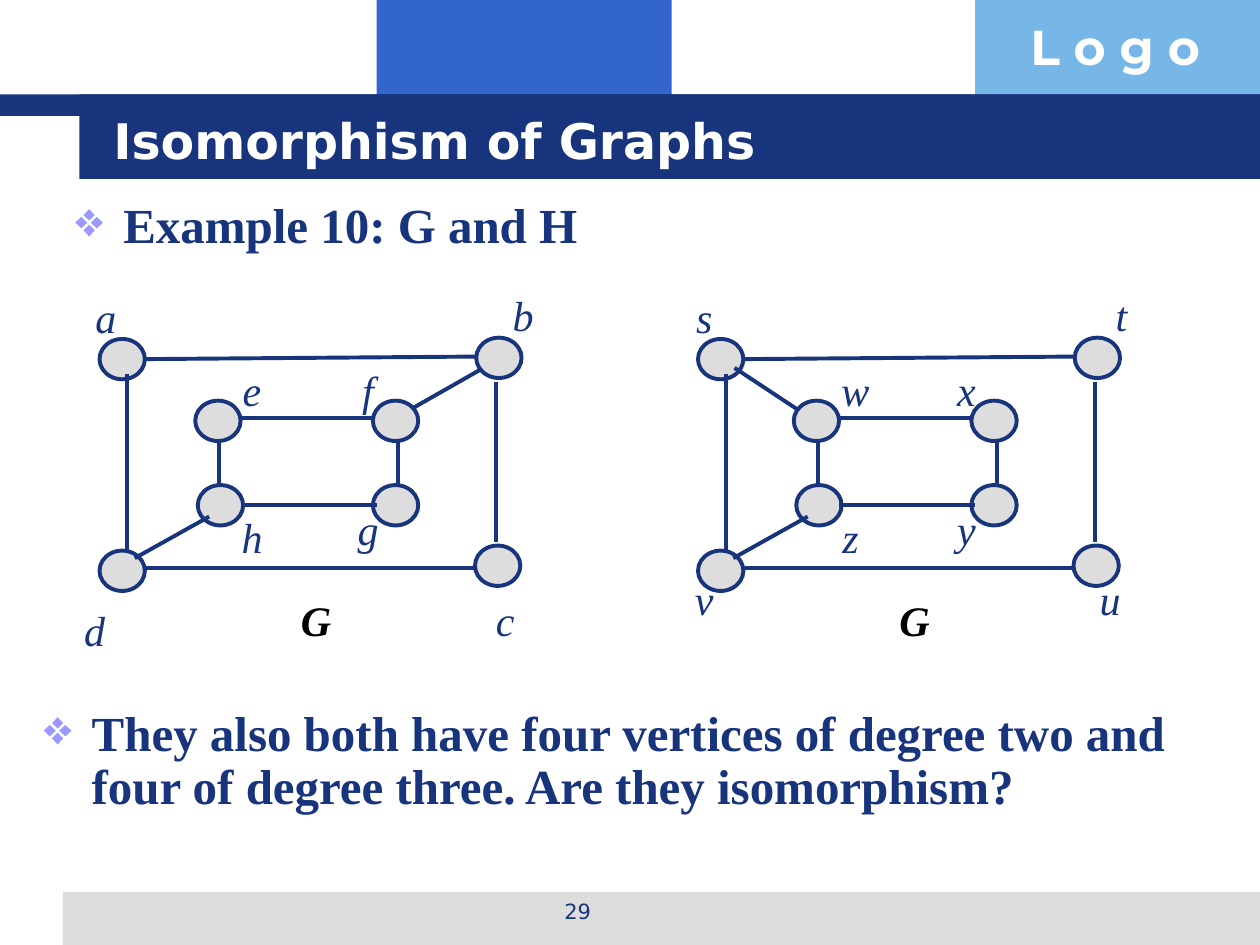
from lxml.etree import SubElement
from pptx import Presentation
from pptx.dml.color import RGBColor
from pptx.enum.shapes import MSO_CONNECTOR, MSO_SHAPE
from pptx.enum.text import MSO_ANCHOR as Anchor, PP_ALIGN as Align
from pptx.oxml.ns import qn
from pptx.util import Pt

PX = 9144  # 100 px to the inch
COLORS = {"navy": "17347D", "blue": "3366CC", "sky": "77B7E7", "gray": "DDDDDD",
          "lilac": "9999FF", "white": "FFFFFF", "black": "000000"}
RGB = {name: RGBColor.from_string(value) for name, value in COLORS.items()}
SERIF, SANS = "Times New Roman", "DejaVu Sans"


def write(frame, text, size, font, color, bold=False, italic=False, align=Align.LEFT):
    paragraph = frame.paragraphs[0]
    paragraph.alignment = align
    run = paragraph.add_run()
    run.text = text
    run.font.size, run.font.name = Pt(size), font
    run.font.bold, run.font.italic = bold, italic
    run.font.color.rgb = RGB[color]
    return paragraph


def add_box(shapes, left, top, width, height):
    return shapes.add_textbox(left * PX, top * PX, width * PX, height * PX).text_frame


presentation = Presentation()
presentation.slide_width, presentation.slide_height = 1000 * PX, 750 * PX
slide = presentation.slides.add_slide(presentation.slide_layouts[5])

# Header and footer bands
for left, top, width, height, color in [
    (299, 0, 234, 92, "blue"), (774, 0, 226, 92, "sky"), (50, 708, 950, 42, "gray"),
    (0, 75, 1000, 17, "navy"), (63, 75, 937, 67, "navy"),
]:
    band = slide.shapes.add_shape(MSO_SHAPE.RECTANGLE, left * PX, top * PX, width * PX, height * PX)
    band.shadow.inherit = False
    band.fill.solid()
    band.fill.fore_color.rgb = RGB[color]
    band.line.fill.background()

write(add_box(slide.shapes, 808, 8, 193, 57), "L o g o", 28, "Montserrat", "white", bold=True)
write(add_box(slide.shapes, 342, 708, 233, 35), "29", 12, SANS, "navy", align=Align.CENTER)

title = slide.shapes.title
title.left, title.top, title.width, title.height = 80 * PX, 80 * PX, 853 * PX, 62 * PX
title.text_frame.vertical_anchor = Anchor.MIDDLE
write(title.text_frame, "Isomorphism of Graphs", 28, SANS, "white", bold=True)
slide.shapes.element.append(title.element)  # in front of the bands

# Bulleted statements
for left, top, width, height, text in [
    (50, 155, 908, 53, "Example 10: G and H"),
    (25, 558, 933, 92, "They also both have four vertices of degree two and "
                       "four of degree three. Are they isomorphism?"),
]:
    frame = add_box(slide.shapes, left, top, width, height)
    frame.word_wrap = True
    paragraph = write(frame, text, 28, SERIF, "navy", bold=True)
    properties = paragraph._p.get_or_add_pPr()
    properties.set("marL", str(38 * PX))
    properties.set("indent", str(-38 * PX))
    bullet_color = SubElement(properties, qn("a:buClr"))
    SubElement(bullet_color, qn("a:srgbClr"), val=COLORS["lilac"])
    SubElement(properties, qn("a:buChar"), char="❖")
    paragraph.line_spacing = 0.9

# Both graphs share these vertices and edges, measured from the graph's own left
outer_vertices = [(79, 269), (378, 268), (79, 437), (377, 433)]
inner_vertices = [(296, 385), (296, 318), (157, 385), (155, 318)]
outer_edges = [(101, 297, 101, 437), (116, 285, 377, 283), (394, 303, 394, 430),
               (377, 451, 116, 451), (297, 332, 189, 332)]
inner_edges = [(299, 401, 191, 401), (174, 351, 174, 385), (316, 351, 316, 385),
               (107, 443, 166, 410)]

# Offset, the one differing edge, and labels as (text, centre x, top)
graphs = [
    (0, (324, 326, 382, 293),
     [("a", 84, 226), ("b", 415, 225), ("c", 401, 467), ("d", 75, 475),
      ("e", 200, 284), ("f", 292, 284), ("g", 292, 395), ("h", 200, 401)]),
    (475, (108, 292, 158, 325),
     [("s", 84, 226), ("t", 415, 225), ("u", 406, 450), ("v", 84, 450),
      ("w", 201, 284), ("x", 292, 284), ("y", 292, 395), ("z", 200, 401)]),
]
for offset, differing_edge, labels in graphs:
    shapes = slide.shapes.add_group_shape().shapes
    for vertices, edges in [(outer_vertices, outer_edges + [differing_edge]),
                            (inner_vertices, inner_edges)]:
        for left, top in vertices:
            vertex = shapes.add_shape(MSO_SHAPE.OVAL, (left + offset) * PX, top * PX, 36 * PX, 32 * PX)
            vertex.shadow.inherit = False
            vertex.fill.solid()
            vertex.fill.fore_color.rgb = RGB["gray"]
            vertex.line.color.rgb = RGB["navy"]
            vertex.line.width = Pt(2.25)
        for x1, y1, x2, y2 in edges:
            edge = shapes.add_connector(MSO_CONNECTOR.STRAIGHT, (x1 + offset) * PX, y1 * PX,
                                        (x2 + offset) * PX, y2 * PX)
            edge.line.color.rgb = RGB["navy"]
            edge.line.width = Pt(2.25)
            SubElement(edge._element.spPr, qn("a:effectLst"))
    for text, center, top in labels + [("G", 247, 467)]:
        is_name = text == "G"
        frame = add_box(shapes, center + offset - 18, top, 36, 50)
        frame.word_wrap = False
        frame.vertical_anchor = Anchor.MIDDLE
        write(frame, text, 24, SERIF, "black" if is_name else "navy",
              bold=is_name, italic=True, align=Align.CENTER)

presentation.save("out.pptx")
